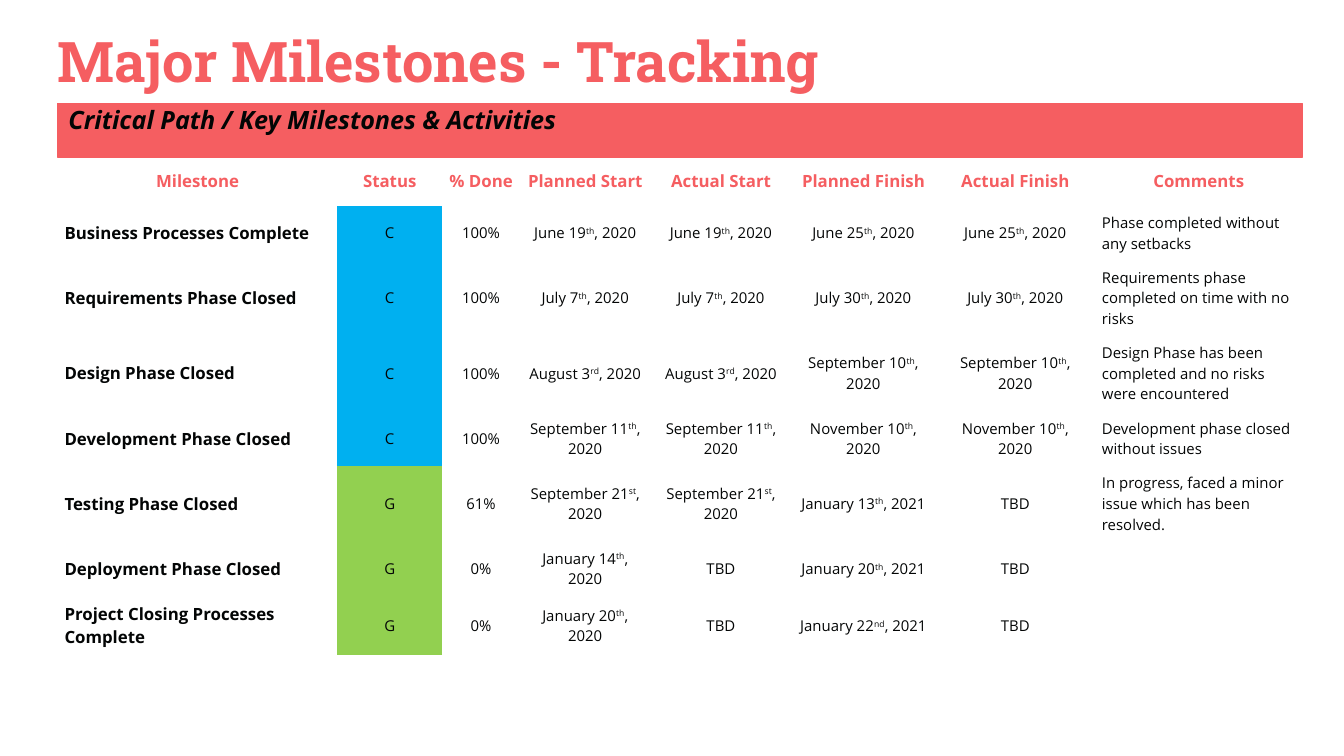
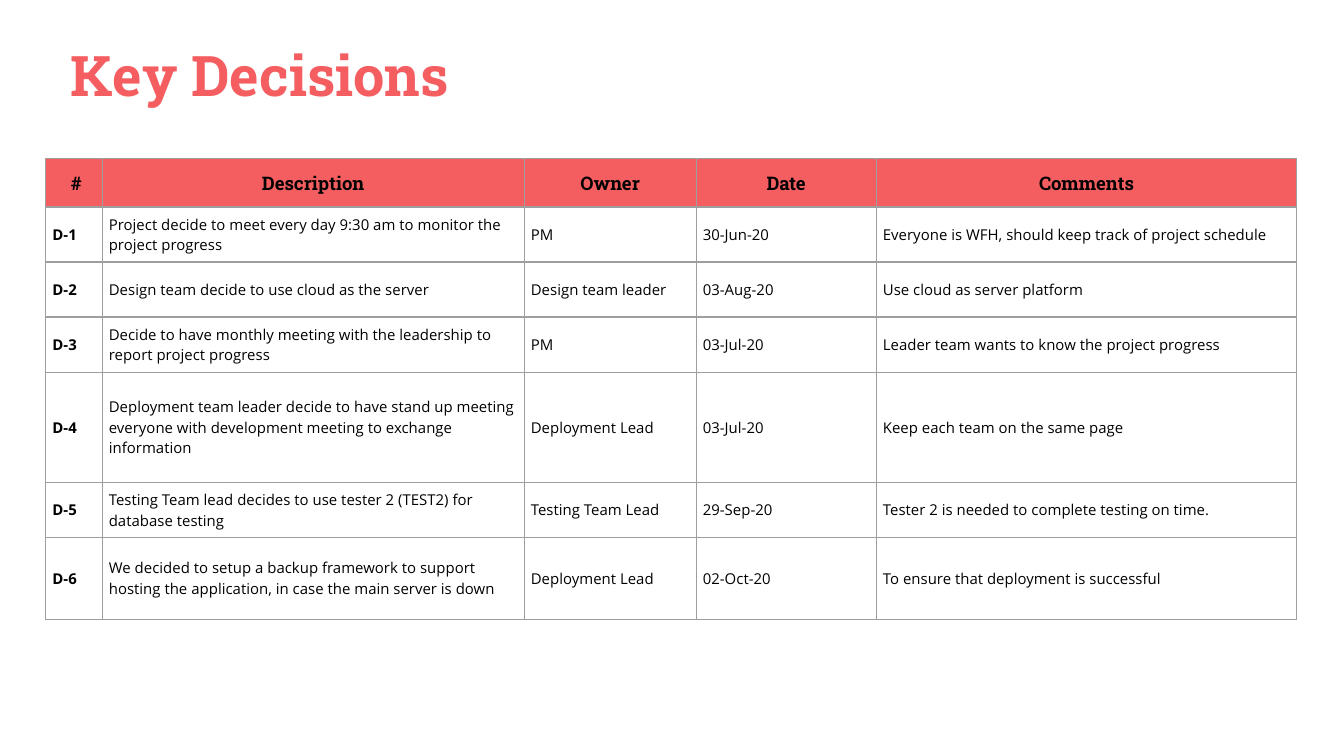
from lxml.etree import SubElement
from pptx import Presentation
from pptx.dml.color import RGBColor
from pptx.enum.shapes import MSO_SHAPE
from pptx.enum.text import MSO_ANCHOR, PP_ALIGN
from pptx.oxml.ns import qn
from pptx.util import Inches, Pt

# Shared look: the slide is a grid of 100 columns, with square units
WIDE, HIGH = Inches(10), Inches(5.625)
UNIT = WIDE / 100
CORAL, INK, BLACK, GRAY = "F55E61", "030505", "000000", "9E9E9E"
BLUE, GREEN = "00B0F0", "92D050"
SANS, SLAB = "Open Sans", "Roboto Slab"
PLAIN = "{2D5ABB26-0587-4C30-8999-92F81FD0307C}"
LEFT, MID = PP_ALIGN.LEFT, PP_ALIGN.CENTER

# Text styles: size, font, colour, bold
TITLE = (30, SLAB, CORAL, True)


def paint(fill, color):
    fill.solid()
    fill.fore_color.rgb = RGBColor.from_string(color)


def write(frame, text, style, align=LEFT, italic=False):
    """Split paragraphs at line ends; text between carets is raised."""
    size, face, color, bold = style
    for n, line in enumerate(text.split("\n")):
        para = frame.add_paragraph() if n else frame.paragraphs[0]
        para.alignment = align
        for k, part in enumerate(line.split("^")):
            run = para.add_run()
            run.text = part
            font = run.font
            font.size, font.name, font.bold = Pt(size), face, bold
            if italic:
                font.italic = True
            paint(font.fill, color)
            if k % 2:
                run._r.get_or_add_rPr().set("baseline", "30000")


# Milestones
stones = [
    ["Milestone", "Status", "% Done", "Planned Start", "Actual Start",
     "Planned Finish", "Actual Finish", "Comments"],
    ["Business Processes Complete", "C", "100%", "June 19^th^, 2020", "June 19^th^, 2020",
     "June 25^th^, 2020", "June 25^th^, 2020", "Phase completed without any setbacks"],
    ["Requirements Phase Closed", "C", "100%", "July 7^th^, 2020", "July 7^th^, 2020",
     "July 30^th^, 2020", "July 30^th^, 2020",
     "Requirements phase completed on time with no risks"],
    ["Design Phase Closed", "C", "100%", "August 3^rd^, 2020", "August 3^rd^, 2020",
     "September 10^th^, 2020", "September 10^th^, 2020",
     "Design Phase has been completed and no risks were encountered"],
    ["Development Phase Closed", "C", "100%", "September 11^th^, 2020",
     "September 11^th^, 2020", "November 10^th^, 2020", "November 10^th^,\n2020",
     "Development phase closed without issues"],
    ["Testing Phase Closed", "G", "61%", "September 21^st^, 2020", "September 21^st^, 2020",
     "January 13^th^, 2021", "TBD",
     "In progress, faced a minor issue which has been resolved."],
    ["Deployment Phase Closed", "G", "0%", "January 14^th^, 2020", "TBD",
     "January 20^th^, 2021", "TBD", ""],
    ["Project Closing Processes Complete", "G", "0%", "January 20^th^, 2020", "TBD",
     "January 22^nd^, 2021", "TBD", ""],
]

# Decisions
picks = [
    [" #", "Description", "Owner", "Date", "Comments"],
    ["D-1", "Project decide to meet every day 9:30 am to monitor the project progress",
     "PM", "30-Jun-20", "Everyone is WFH, should keep track of project schedule"],
    ["D-2", "Design team decide to use cloud as the server",
     "Design team leader", "03-Aug-20", "Use cloud as server platform"],
    ["D-3", "Decide to have monthly meeting with the leadership to report project progress",
     "PM", "03-Jul-20", "Leader team wants to know the project progress"],
    ["D-4", "Deployment team leader decide to have stand up meeting everyone with "
     "development meeting to exchange information",
     "Deployment Lead", "03-Jul-20", "Keep each team on the same page"],
    ["D-5", "Testing Team lead decides to use tester 2 (TEST2) for database testing",
     "Testing Team Lead", "29-Sep-20", "Tester 2 is needed to complete testing on time."],
    ["D-6", "We decided to setup a backup framework to support hosting the application, "
     "in case the main server is down",
     "Deployment Lead", "02-Oct-20", "To ensure that deployment is successful"],
]

# Places in grid units; styles for the head row, first column and body
pages = [
    dict(title="Major Milestones - Tracking", box=(3.3, 1, 90, 7),
         band="Critical Path / Key Milestones & Activities",
         data=stones, spot=(4.3, 11.6),
         cols=(20.8, 7.8, 5.8, 9.7, 10.5, 10.7, 11.9, 15.4),
         rows=[3.7] + [2.2] * 3 + [3.5] * 4,
         head=(9, SANS, CORAL, True), first=(9, SANS, INK, True),
         body=(8, SANS, INK, False), mids=range(1, 7),
         fills={"C": BLUE, "G": GREEN}, edge=False),
    dict(title="Key Decisions", box=(4.3, 2, 82, 8.9), band="",
         data=picks, spot=(3.4, 11.8),
         cols=(4.2, 31.4, 12.8, 13.4, 31.3),
         rows=(3.6, 4.1, 4.1, 4.1, 8.2, 4.1, 6.1),
         head=(10, SLAB, BLACK, True), first=(8, SANS, BLACK, True),
         body=(8, SANS, BLACK, False), mids=(),
         fills=dict.fromkeys(picks[0], CORAL), edge=True),
]

deck = Presentation()
deck.slide_width, deck.slide_height = WIDE, HIGH

for page in pages:
    slide = deck.slides.add_slide(deck.slide_layouts[6])
    shapes = slide.shapes

    # Band under the title
    if page["band"]:
        band = shapes.add_shape(MSO_SHAPE.RECTANGLE,
                                *[int(UNIT * n) for n in (4.3, 7.7, 92.6, 4)])
        band.shadow.inherit = False
        paint(band.fill, CORAL)
        paint(band.line.fill, CORAL)
        band.line.width = Pt(0.75)
        frame = band.text_frame
        frame.vertical_anchor = MSO_ANCHOR.TOP
        frame.margin_left = frame.margin_right = int(UNIT * 0.8)
        frame.margin_top = frame.margin_bottom = int(UNIT * 0.1)
        write(frame, page["band"], (13.5, SANS, INK, True), italic=True)

    # Table
    data, cols, rows = page["data"], page["cols"], page["rows"]
    place = (*page["spot"], sum(cols), sum(rows))
    table = shapes.add_table(len(rows), len(cols), *[int(UNIT * n) for n in place]).table
    table.first_row = table.horz_banding = False
    table._tbl.tblPr.find(qn("a:tableStyleId")).text = PLAIN
    for col, n in zip(table.columns, cols):
        col.width = int(UNIT * n)
    for row, n in zip(table.rows, rows):
        row.height = int(UNIT * n)

    for r, line in enumerate(data):
        for c, text in enumerate(line):
            cell = table.cell(r, c)
            cell.vertical_anchor = MSO_ANCHOR.MIDDLE
            cell.margin_left = cell.margin_right = int(UNIT / 2)
            cell.margin_top = cell.margin_bottom = int(UNIT / 2)
            if page["edge"]:
                props = cell._tc.get_or_add_tcPr()
                for side in ("lnL", "lnR", "lnT", "lnB"):
                    edge = SubElement(props, qn("a:" + side), w=str(Pt(0.75)))
                    solid = SubElement(edge, qn("a:solidFill"))
                    SubElement(solid, qn("a:srgbClr"), val=GRAY)
            if text in page["fills"]:
                paint(cell.fill, page["fills"][text])
            else:
                cell.fill.background()
            kind = "head" if r == 0 else "first" if c == 0 else "body"
            align = MID if r == 0 or c in page["mids"] else LEFT
            if text:
                write(cell.text_frame, text, page[kind], align)

    # Title
    title = shapes.add_textbox(*[int(UNIT * n) for n in page["box"]])
    frame = title.text_frame
    frame.word_wrap = True
    frame.margin_left = frame.margin_right = int(UNIT)
    frame.margin_top = frame.margin_bottom = int(UNIT)
    write(frame, page["title"], TITLE)

deck.save("out.pptx")
